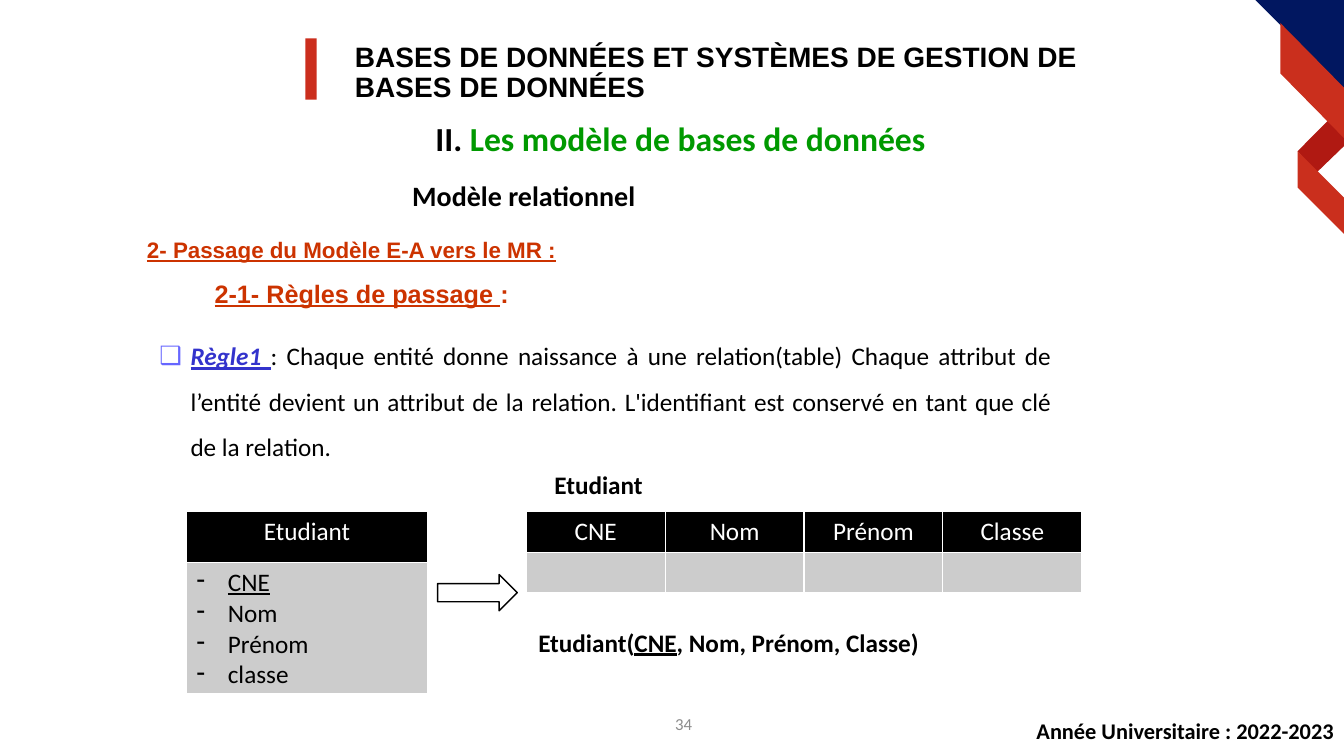
from dataclasses import dataclass

import pptx
import pptx.dml.color
import pptx.enum.shapes
import pptx.enum.text
import pptx.oxml
import pptx.oxml.ns
import pptx.util
from pptx.util import Inches

ALIGN = pptx.enum.text.PP_ALIGN
ANCHOR = pptx.enum.text.MSO_ANCHOR
SHAPE = pptx.enum.shapes.MSO_SHAPE
NS = pptx.oxml.ns.nsdecls("a")
BLACK, WHITE, GREY, RED = "000000", "FFFFFF", "CCCCCC", "CA2F1D"


@dataclass
class Run:
    text: str
    size: float = 18
    color: str = BLACK
    bold: bool = False
    italic: bool = False
    underline: bool = False
    font: str = "Calibri"


@dataclass
class Label:
    box: tuple[float, float, float, float]
    runs: list[Run]
    align: ALIGN = ALIGN.LEFT
    spacing: float = 1.0
    wrap: bool = True


@dataclass
class Ribbon:
    color: str
    points: list[tuple[float, float]]


def rgb(color: str) -> pptx.dml.color.RGBColor:
    return pptx.dml.color.RGBColor.from_string(color)


def paint(shape, color: str) -> None:
    shape.shadow.inherit = False
    shape.fill.solid()
    shape.fill.fore_color.rgb = rgb(color)
    shape.line.fill.background()


def place(shape, box: tuple[float, float, float, float]) -> None:
    shape.left, shape.top, shape.width, shape.height = map(Inches, box)


def write(p, runs: list[Run], align: ALIGN = ALIGN.LEFT, spacing: float = 1.0) -> None:
    p.alignment, p.line_spacing = align, spacing
    p.space_before = pptx.util.Pt(0)
    for run in runs:
        r = p.add_run()
        r.text = run.text
        r.font.name, r.font.size = run.font, pptx.util.Pt(run.size)
        r.font.bold, r.font.italic, r.font.underline = run.bold, run.italic, run.underline
        r.font.color.rgb = rgb(run.color)


def indent(p, left: float, first: float = 0) -> None:
    pPr = p._p.get_or_add_pPr()
    pPr.set("marL", str(Inches(left)))
    pPr.set("indent", str(Inches(first)))


def bullet(p, char: str, color: str) -> None:
    indent(p, 0.31, -0.31)
    pPr = p._p.get_or_add_pPr()
    for xml in (f'<a:buClr {NS}><a:srgbClr val="{color}"/></a:buClr>',
                f'<a:buChar {NS} char="{char}"/>'):
        pPr.append(pptx.oxml.parse_xml(xml))


def fill_cell(cell, color: str) -> None:
    cell.fill.solid()
    cell.fill.fore_color.rgb = rgb(color)
    tcPr = cell._tc.get_or_add_tcPr()
    for i, side in enumerate(("lnL", "lnR", "lnT", "lnB")):
        tcPr.insert(i, pptx.oxml.parse_xml(
            f'<a:{side} {NS} w="12700"><a:solidFill><a:srgbClr val="{WHITE}"/>'
            f'</a:solidFill></a:{side}>'))


def add_grid(s, box: tuple[float, float, float, float], headers: list[str], header_height: float):
    left, top, width, height = box
    table = s.shapes.add_table(2, len(headers), *map(Inches, box)).table
    table.rows[0].height = Inches(header_height)
    table.rows[1].height = Inches(height - header_height)
    for i, header in enumerate(headers):
        table.columns[i].width = Inches(width / len(headers))
        fill_cell(table.cell(0, i), BLACK)
        fill_cell(table.cell(1, i), GREY)
        write(table.cell(0, i).text_frame.paragraphs[0], [Run(header, color=WHITE)], ALIGN.CENTER)
    return table


def add_label(s, label: Label):
    tf = s.shapes.add_textbox(*map(Inches, label.box)).text_frame
    tf.word_wrap = label.wrap
    write(tf.paragraphs[0], label.runs, label.align, label.spacing)
    return tf


def add_ribbon(s, ribbon: Ribbon) -> None:
    start, *rest = [(Inches(x), Inches(y)) for x, y in ribbon.points]
    builder = s.shapes.build_freeform(*start)
    builder.add_line_segments(rest, close=True)
    paint(builder.convert_to_shape(), ribbon.color)


RIBBONS = [
    Ribbon("B01912", [(13.19, 1.18), (13.33, 1.35), (13.33, 1.45), (13.05, 1.72), (12.87, 1.5)]),
    Ribbon("011760", [(12.45, 0), (13.33, 0), (13.33, 0.88)]),
    Ribbon(RED, [(12.87, 1.5), (13.33, 1.96), (13.33, 2.32), (12.87, 1.86)]),
    Ribbon(RED, [(12.7, 0.23), (13.33, 0.87), (13.33, 1.37), (12.7, 0.73)]),
]

LABELS = [
    Label((4.22, 1.17, 6, 0.47), [Run("II. ", 24, bold=True),
                                  Run("Les modèle de bases de données", 24, "009900", True)],
          spacing=0.9),
    Label((3.99, 1.72, 2.43, 0.44), [Run("Modèle relationnel", 20, bold=True)], wrap=False),
    Label((5.4, 4.61, 1.21, 0.4), [Run("Etudiant", bold=True)], wrap=False),
    Label((5.24, 6.17, 4.65, 0.4), [Run("Etudiant(", bold=True),
                                    Run("CNE", bold=True, underline=True),
                                    Run(", Nom, Prénom, Classe)", bold=True)], wrap=False),
    Label((9.33, 7.1, 4, 0.38), [Run("Année Universitaire : 2022-2023", 16, bold=True)],
          ALIGN.RIGHT, 0.9),
]


def main() -> None:
    prs = pptx.Presentation()
    prs.slide_width, prs.slide_height = Inches(13.33), Inches(7.5)
    s = prs.slides.add_slide(prs.slide_layouts[1])

    # Corner ribbons and title bar
    for ribbon in RIBBONS:
        add_ribbon(s, ribbon)
    bar = s.shapes.add_shape(SHAPE.RECTANGLE, *map(Inches, (3.03, 0.38, 0.11, 0.61)))
    paint(bar, "CB2E1D")

    # Title and rule
    title, rule = s.shapes.title, s.placeholders[1]
    place(title, (3.42, 0.4, 7.9, 0.65))
    place(rule, (1.48, 3.18, 9.05, 1.41))
    for shape, anchor in ((title, ANCHOR.MIDDLE), (rule, ANCHOR.TOP)):
        tf = shape.text_frame
        tf.word_wrap, tf.vertical_anchor = True, anchor
        tf.auto_size = pptx.enum.text.MSO_AUTO_SIZE.NONE
    write(title.text_frame.paragraphs[0],
          [Run("BASES DE DONNÉES ET SYSTÈMES DE GESTION DE BASES DE DONNÉES", 20,
               bold=True, font="Arial")], spacing=0.9)
    p = rule.text_frame.paragraphs[0]
    write(p, [Run("Règle1 ", color="3333CC", bold=True, italic=True, underline=True),
              Run(": Chaque entité donne naissance à une relation(table) Chaque attribut de "
                  "l’entité devient un attribut de la relation. L'identifiant est conservé en "
                  "tant que clé de la relation.")], ALIGN.JUSTIFY, 1.5)
    bullet(p, "❑", "6666FF")

    # Section headings
    heading = dict(color="CC3300", bold=True, font="Arial")
    tf = add_label(s, Label((1.36, 2.16, 9.8, 0.95),
                            [Run("2- Passage du Modèle E-A vers le MR :", 16,
                                 underline=True, **heading)], spacing=1.5))
    p = tf.add_paragraph()
    write(p, [Run("2-1- Règles de passage ", underline=True, **heading),
              Run(":", **heading)], spacing=1.5)
    indent(p, 0.67)

    # Entity, arrow and relation
    entity = add_grid(s, (1.85, 5.07, 2.39, 1.81), ["Etudiant"], 0.51)
    tf = entity.cell(1, 0).text_frame
    for i, name in enumerate(["CNE", "Nom", "Prénom", "classe"]):
        p = tf.add_paragraph() if i else tf.paragraphs[0]
        write(p, [Run(name, underline=i == 0)])
        bullet(p, "-", BLACK)
    arrow = s.shapes.add_shape(SHAPE.RIGHT_ARROW, *map(Inches, (4.34, 5.7, 0.79, 0.36)))
    paint(arrow, WHITE)
    arrow.fill.background()
    arrow.line.color.rgb, arrow.line.width = rgb(BLACK), pptx.util.Pt(1)
    add_grid(s, (5.22, 5.07, 5.51, 0.81), ["CNE", "Nom", "Prénom", "Classe"], 0.41)

    # Labels and page number
    for label in LABELS:
        add_label(s, label)
    tf = add_label(s, Label((5.28, 6.98, 3, 0.4), [Run("34", 12, "8C8C8C")], ALIGN.CENTER))
    tf.vertical_anchor = ANCHOR.MIDDLE

    prs.save("out.pptx")


if __name__ == "__main__":
    main()
